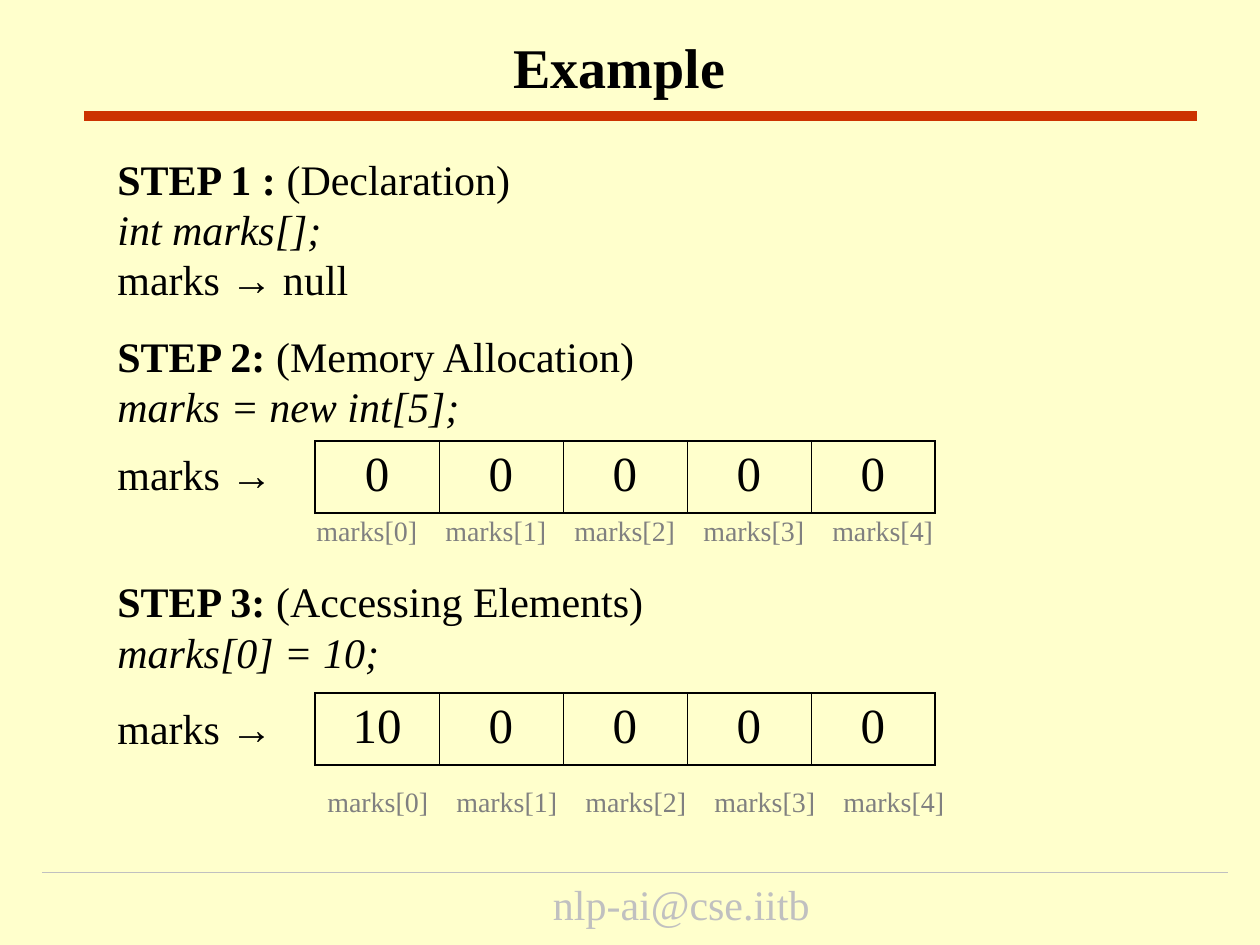
import pptx
import pptx.dml.color
import pptx.enum.shapes
import pptx.enum.text
import pptx.oxml
import pptx.oxml.ns
import pptx.util
import lxml.etree

PX = 914400 // 126
SERIF, ARROW_FONT = "Times New Roman", "Arial"
BLACK, GREY, PALE, RED, CREAM = "000000", "808080", "C0C0C0", "CC3300", "FFFFCC"
ALIGN = pptx.enum.text.PP_ALIGN

BASE = {"size": 24, "name": SERIF, "color": BLACK}
BOLD = {**BASE, "bold": True}
ITALIC = {**BASE, "italic": True}
ARROW = {**BASE, "name": ARROW_FONT}
LABEL = {**BASE, "size": 16, "color": GREY}

TITLE = "Example"
FOOTER = "nlp-ai@cse.iitb"
LABELS = "\t".join(f"marks[{index}]" for index in range(5))
LABEL_STEP = 129
POINTER = [("marks ", BASE), ("→", ARROW)]
LABEL_LINE = [("\t", BASE), (LABELS, LABEL)]

# (space before in points, first label tab in px or None, runs)
LINES = [
    (0, None, [("STEP 1 :", BOLD), (" (Declaration)", BASE)]),
    (0, None, [("int marks[];", ITALIC)]),
    (0, None, POINTER + [(" null", BASE)]),
    (15, None, [("STEP 2:", BOLD), (" (Memory Allocation)", BASE)]),
    (0, None, [("marks = new int[5];", ITALIC)]),
    (10, None, POINTER),
    (0, 199, LABEL_LINE),
    (15, None, [("STEP 3:", BOLD), (" (Accessing Elements)", BASE)]),
    (0, None, [("marks[0] = 10;", ITALIC)]),
    (15, None, POINTER),
    (10, 210, LABEL_LINE),
]

# (top in px, cell values)
ARRAYS = [(441, [0, 0, 0, 0, 0]), (693, [10, 0, 0, 0, 0])]
ARRAY_LEFT, CELL_WIDTH, CELL_HEIGHT = 315, 124, 72
THICK, THIN = 1.08, 0.45

# (left, right, y in px, colour, width in points)
RULES = [(42, 1228, 872, PALE, 0.25), (84, 1197, 116, RED, 6)]


def rgb(value):
    return pptx.dml.color.RGBColor.from_string(value)


def add_span(para, text, style):
    span = para.add_run()
    span.text = text
    for key, value in style.items():
        if key == "color":
            span.font.color.rgb = rgb(value)
        else:
            setattr(span.font, key, pptx.util.Pt(value) if key == "size" else value)


def add_box(slide, left, top, width, height):
    box = slide.shapes.add_textbox(left * PX, top * PX, width * PX, height * PX)
    box.text_frame.word_wrap = True
    return box.text_frame


def add_tabs(para, first):
    tabs = lxml.etree.SubElement(para._p.get_or_add_pPr(), pptx.oxml.ns.qn("a:tabLst"))
    for index in range(5):
        position = (first + index * LABEL_STEP) * PX
        lxml.etree.SubElement(tabs, pptx.oxml.ns.qn("a:tab"), pos=str(position), algn="l")


def add_rule(slide, left, right, y, color, width):
    line = slide.shapes.add_connector(
        pptx.enum.shapes.MSO_CONNECTOR.STRAIGHT, left * PX, y * PX, right * PX, y * PX)
    line.line.color.rgb = rgb(color)
    line.line.width = pptx.util.Pt(width)
    lxml.etree.SubElement(line._element.spPr, pptx.oxml.ns.qn("a:effectLst"))


def set_borders(cell, widths):
    """Draw black cell borders; widths maps L, R, T, B to points."""
    properties = cell._tc.get_or_add_tcPr()
    for index, (side, width) in enumerate(widths.items()):
        border = pptx.oxml.parse_xml(
            f'<a:ln{side} {pptx.oxml.ns.nsdecls("a")} w="{pptx.util.Pt(width)}">'
            f'<a:solidFill><a:srgbClr val="{BLACK}"/></a:solidFill></a:ln{side}>')
        properties.insert(index, border)


def add_array(slide, top, values):
    count = len(values)
    table = slide.shapes.add_table(
        1, count, ARRAY_LEFT * PX, top * PX, count * CELL_WIDTH * PX, CELL_HEIGHT * PX).table
    for index, value in enumerate(values):
        cell = table.cell(0, index)
        cell.fill.background()
        para = cell.text_frame.paragraphs[0]
        para.alignment = ALIGN.CENTER
        add_span(para, str(value), {**BASE, "size": 28})
        set_borders(cell, {
            "L": THICK if index == 0 else THIN,
            "R": THICK if index == count - 1 else THIN,
            "T": THICK,
            "B": THICK,
        })


def main():
    deck = pptx.Presentation()
    deck.slide_width, deck.slide_height = 1260 * PX, 945 * PX
    slide = deck.slides.add_slide(deck.slide_layouts[6])
    slide.background.fill.solid()
    slide.background.fill.fore_color.rgb = rgb(CREAM)

    footer = add_box(slide, 189, 872, 882, 32)
    footer.margin_left = 364 * PX
    add_span(footer.paragraphs[0], FOOTER, {**BASE, "color": PALE})

    for rule in RULES:
        add_rule(slide, *rule)

    body = add_box(slide, 105, 147, 1071, 732)
    for index, (before, first_tab, spans) in enumerate(LINES):
        para = body.add_paragraph() if index else body.paragraphs[0]
        para.space_before = pptx.util.Pt(before)
        if first_tab:
            add_tabs(para, first_tab)
        for text, style in spans:
            add_span(para, text, style)

    title = add_box(slide, 105, 19, 1029, 95)
    title.vertical_anchor = pptx.enum.text.MSO_ANCHOR.MIDDLE
    title.paragraphs[0].alignment = ALIGN.CENTER
    add_span(title.paragraphs[0], TITLE, {**BOLD, "size": 32})

    for top, values in ARRAYS:
        add_array(slide, top, values)

    deck.save("out.pptx")


if __name__ == "__main__":
    main()
